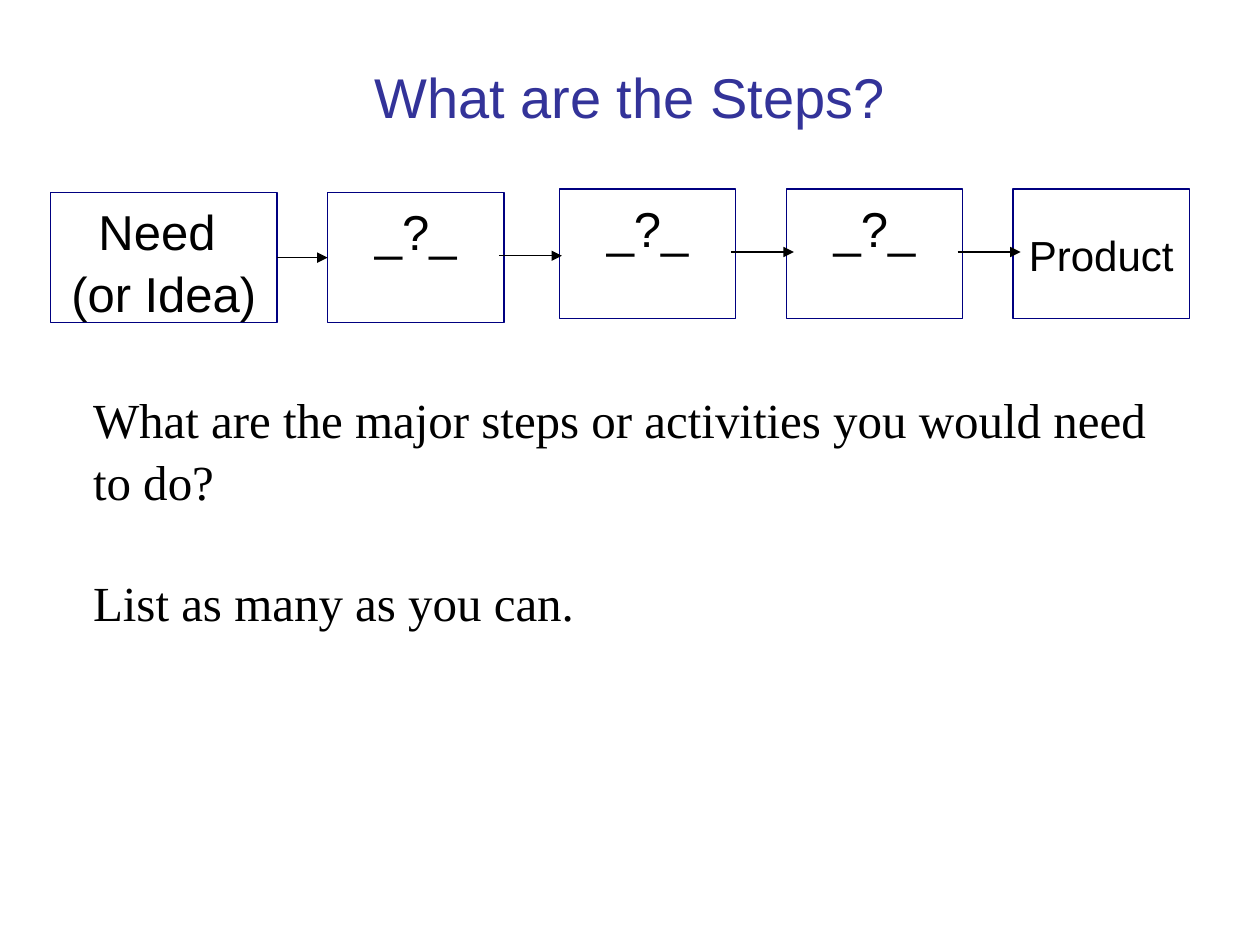
from dataclasses import dataclass

from lxml import etree
from pptx import Presentation
from pptx.dml.color import RGBColor
from pptx.enum.shapes import MSO_CONNECTOR, MSO_SHAPE
from pptx.enum.text import MSO_ANCHOR, PP_ALIGN
from pptx.oxml.ns import qn
from pptx.util import Inches, Pt

COLORS = {"title": "333399", "border": "000080", "ink": "000000"}
BOX_HEIGHT = 1.03
LINE_SPACING = 1.05


@dataclass
class Step:
    label: str
    left: float
    top: float
    width: float = 1.4
    size: int = 28
    anchor: MSO_ANCHOR = MSO_ANCHOR.TOP


@dataclass
class Arrow:
    start: float
    end: float
    y: float


STEPS = [
    Step("Need \v(or Idea)", 0.4, 1.53, width=1.8),
    Step("_?_", 2.6, 1.53),
    Step("_?_", 4.44, 1.5),
    Step("_?_", 6.24, 1.5),
    Step("Product", 8.04, 1.5, size=24, anchor=MSO_ANCHOR.MIDDLE),
]
ARROWS = [
    Arrow(2.2, 2.6, 2.03),
    Arrow(3.96, 4.46, 2.03),
    Arrow(5.8, 6.3, 2),
    Arrow(7.6, 8.1, 2),
]


def rgb(name: str) -> RGBColor:
    return RGBColor.from_string(COLORS[name])


def style_paragraph(paragraph, size: int, font: str, color: str, align=PP_ALIGN.LEFT) -> None:
    paragraph.alignment = align
    paragraph.line_spacing = LINE_SPACING
    paragraph.font.size = Pt(size)
    paragraph.font.name = font
    paragraph.font.color.rgb = rgb(color)


def add_text(slide, left: float, top: float, width: float, height: float):
    frame = slide.shapes.add_textbox(
        Inches(left), Inches(top), Inches(width), Inches(height)).text_frame
    frame.word_wrap = True
    return frame


def add_step(slide, step: Step):
    box = slide.shapes.add_shape(
        MSO_SHAPE.RECTANGLE, Inches(step.left), Inches(step.top),
        Inches(step.width), Inches(BOX_HEIGHT))
    box.shadow.inherit = False
    box.fill.background()
    box.line.color.rgb = rgb("border")
    box.line.width = Pt(0.75)
    frame = box.text_frame
    frame.word_wrap = True
    frame.vertical_anchor = step.anchor
    frame.text = step.label
    style_paragraph(frame.paragraphs[0], step.size, "Arial", "ink", PP_ALIGN.CENTER)
    return box


def add_arrow(slide, arrow: Arrow):
    connector = slide.shapes.add_connector(
        MSO_CONNECTOR.STRAIGHT, Inches(arrow.start), Inches(arrow.y),
        Inches(arrow.end), Inches(arrow.y))
    connector.line.color.rgb = rgb("ink")
    connector.line.width = Pt(0.75)
    etree.SubElement(connector.line._get_or_add_ln(), qn("a:tailEnd"), type="triangle")
    etree.SubElement(connector._element.spPr, qn("a:effectLst"))
    return connector


def main() -> None:
    presentation = Presentation()
    presentation.slide_width = Inches(10)
    presentation.slide_height = Inches(7.5)
    slide = presentation.slides.add_slide(presentation.slide_layouts[6])

    title = add_text(slide, 0.67, 0.28, 8.66, 0.94)
    title.vertical_anchor = MSO_ANCHOR.MIDDLE
    title.text = "What are the Steps?"
    style_paragraph(title.paragraphs[0], 32, "Arial", "title", PP_ALIGN.CENTER)

    boxes = [add_step(slide, step) for step in STEPS]
    connectors = [add_arrow(slide, arrow) for arrow in ARROWS]
    # Only the first arrow spans its gap exactly; the others overlap the boxes.
    connectors[0].begin_connect(boxes[0], 3)
    connectors[0].end_connect(boxes[1], 1)

    prompt = add_text(slide, 0.64, 3.02, 8.6, 1.97)
    prompt.text = ("What are the major steps or activities you would need to do?\n"
                   "List as many as you can.")
    for paragraph in prompt.paragraphs:
        style_paragraph(paragraph, 28, "Times New Roman", "ink")
    prompt.paragraphs[1].space_before = Pt(34)

    presentation.save("out.pptx")


if __name__ == "__main__":
    main()
